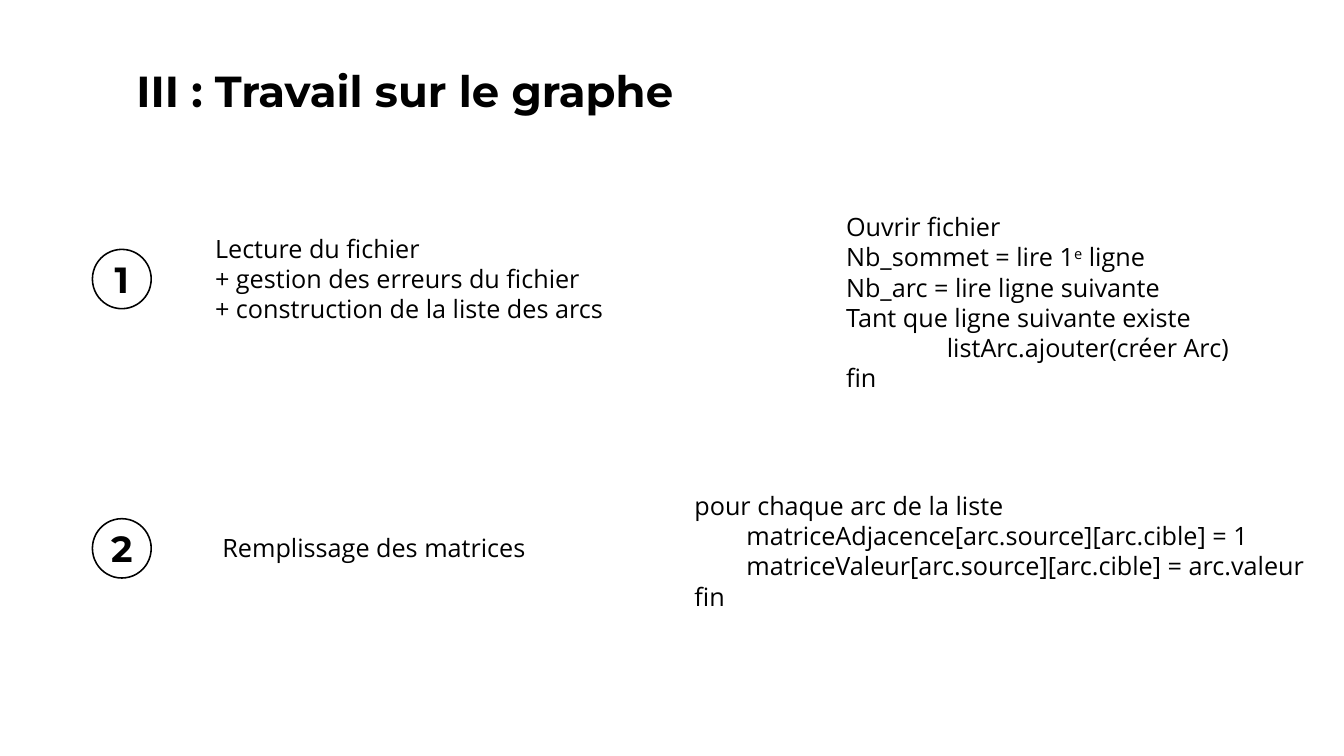
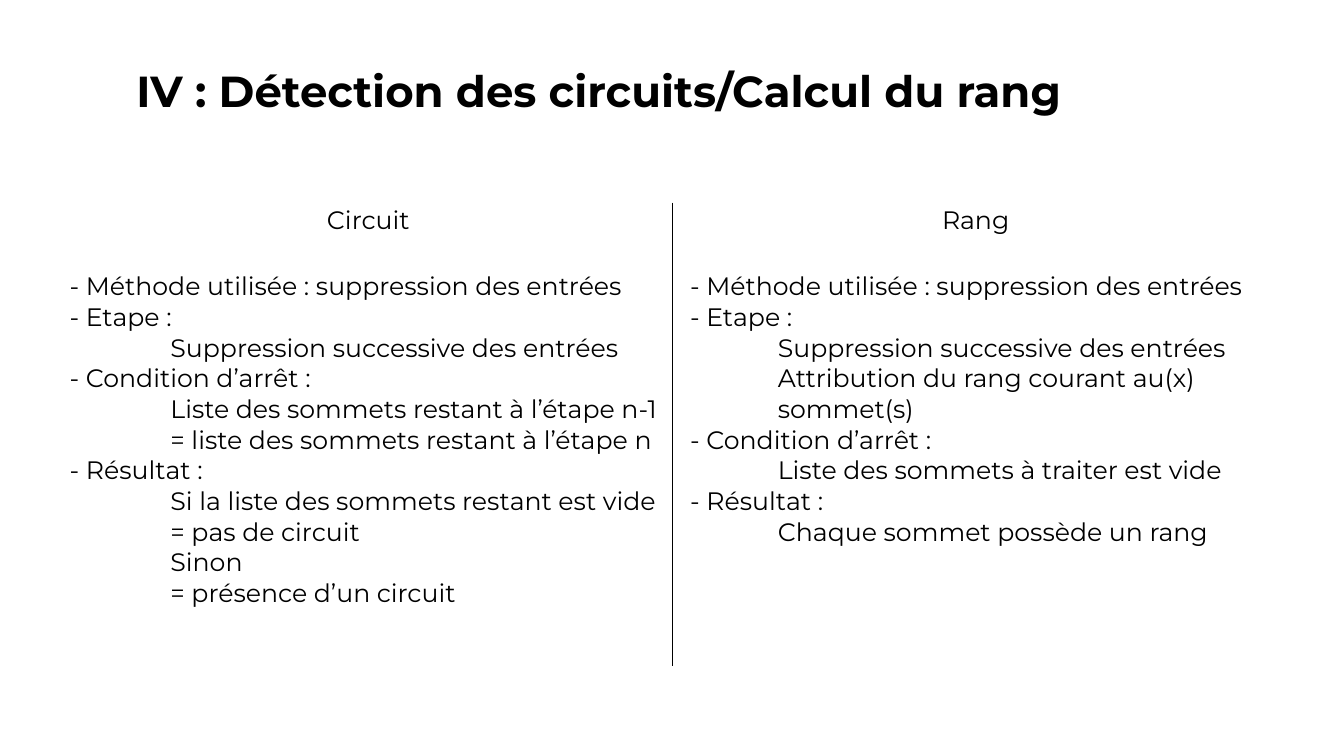
from dataclasses import dataclass

import pptx
import pptx.dml.color
import pptx.enum.shapes
import pptx.enum.text
import pptx.oxml
import pptx.oxml.ns
import pptx.util
from lxml import etree

EMU_PER_PX = 9525
NO_STYLE_NO_GRID = "{2D5ABB26-0587-4C30-8999-92F81FD0307C}"
COMPARISON, TITLE_ONLY = 4, 5
PP_ALIGN = pptx.enum.text.PP_ALIGN
MSO_ANCHOR = pptx.enum.text.MSO_ANCHOR


@dataclass(frozen=True)
class Theme:
    ink: str = "000000"
    paper: str = "FFFFFF"
    heading_font: str = "Montserrat"
    body_font: str = "Open Sans"
    title_pt: int = 62
    number_pt: int = 52
    body_pt: int = 36
    body_leading_pt: float = 43.2
    circle_line_pt: float = 2.25
    divider_pt: int = 1


THEME = Theme()


def px(n):
    return pptx.util.Emu(n * EMU_PER_PX)


def rgb(value):
    return pptx.dml.color.RGBColor.from_string(value)


def place(sp, left, top, width, height):
    sp.left, sp.top, sp.width, sp.height = map(px, (left, top, width, height))


def format_run(r, font, size, bold=False):
    r.font.name = font
    r.font.size = pptx.util.Pt(size)
    r.font.bold = bold
    r.font.color.rgb = rgb(THEME.ink)


def fix_frame(tf, anchor=MSO_ANCHOR.TOP):
    tf.word_wrap = True
    tf.auto_size = pptx.enum.text.MSO_AUTO_SIZE.NONE
    tf.vertical_anchor = anchor


def add_title(s, text, width):
    sp = s.shapes.title
    place(sp, 250, 117, width, 109)
    tf = sp.text_frame
    tf.text = text
    fix_frame(tf)
    p = tf.paragraphs[0]
    p.alignment = PP_ALIGN.LEFT
    format_run(p.runs[0], THEME.heading_font, THEME.title_pt, bold=True)


def fill_lines(tf, lines, font, leading=None):
    """Write (indent px, text) lines; text between carets is superscript."""
    for i, (indent, text) in enumerate(lines):
        p = tf.paragraphs[0] if i == 0 else tf.add_paragraph()
        p.alignment = PP_ALIGN.LEFT
        p.space_before = pptx.util.Pt(0)
        if leading:
            p.line_spacing = pptx.util.Pt(leading)
        pPr = p._p.get_or_add_pPr()
        pPr.set("marL", str(px(indent)))
        pPr.set("indent", "0")
        etree.SubElement(pPr, pptx.oxml.ns.qn("a:buNone"))
        for j, part in enumerate(text.split("^")):
            r = p.add_run()
            r.text = part
            format_run(r, font, THEME.body_pt)
            if j % 2:
                r._r.get_or_add_rPr().set("baseline", "30000")


def add_body(sp, box, lines):
    place(sp, *box)
    fix_frame(sp.text_frame)
    fill_lines(sp.text_frame, lines, THEME.body_font, THEME.body_leading_pt)


def add_number_circle(s, number, top):
    oval = pptx.enum.shapes.MSO_SHAPE.OVAL
    sp = s.shapes.add_shape(oval, px(176), px(top), px(112), px(113))
    sp.shadow.inherit = False
    sp.fill.background()
    sp.line.color.rgb = rgb(THEME.ink)
    sp.line.width = pptx.util.Pt(THEME.circle_line_pt)
    tf = sp.text_frame
    tf.text = str(number)
    fix_frame(tf, MSO_ANCHOR.MIDDLE)
    tf.margin_left = tf.margin_right = tf.margin_top = tf.margin_bottom = 0
    p = tf.paragraphs[0]
    p.alignment = PP_ALIGN.CENTER
    format_run(p.runs[0], THEME.heading_font, THEME.number_pt, bold=True)


def add_cell_border(cell, side):
    ln = pptx.oxml.parse_xml(
        f'<a:{side} {pptx.oxml.ns.nsdecls("a")} w="{pptx.util.Pt(THEME.divider_pt)}">'
        f'<a:solidFill><a:srgbClr val="{THEME.ink}"/></a:solidFill></a:{side}>'
    )
    cell._tc.get_or_add_tcPr().insert(0, ln)


def add_comparison_table(s, columns):
    """Draw (heading, lines) columns side by side with a divider between them."""
    col_width, row_heights = 1157, (68, 815)
    frame = s.shapes.add_table(2, len(columns), px(123), px(386),
                               px(col_width * len(columns)), px(sum(row_heights)))
    frame.element.find(".//" + pptx.oxml.ns.qn("a:tableStyleId")).text = NO_STYLE_NO_GRID
    table = frame.table
    table.first_row = table.horz_banding = False
    for row, height in zip(table.rows, row_heights):
        row.height = px(height)
    for c, (heading, lines) in enumerate(columns):
        table.columns[c].width = px(col_width)
        head, body = table.cell(0, c), table.cell(1, c)
        head.text_frame.text = heading
        p = head.text_frame.paragraphs[0]
        p.alignment = PP_ALIGN.CENTER
        format_run(p.runs[0], THEME.heading_font, THEME.body_pt)
        body.margin_top = px(63)
        fill_lines(body.text_frame, lines, THEME.heading_font)
        for cell in (head, body):
            cell.fill.solid()
            cell.fill.fore_color.rgb = rgb(THEME.paper)
            if c > 0:
                add_cell_border(cell, "lnL")
            if c < len(columns) - 1:
                add_cell_border(cell, "lnR")


def build_graph_slide(prs):
    s = prs.slides.add_slide(prs.slide_layouts[COMPARISON])
    add_title(s, "III : Travail sur le graphe", 1778)
    steps = [
        (475, (400, 439, 782, 184), [
            (0, "Lecture du fichier"),
            (0, "+ gestion des erreurs du fichier"),
            (0, "+ construction de la liste des arcs"),
        ], (1602, 398, 782, 359), [
            (0, "Ouvrir fichier"),
            (0, "Nb_sommet = lire 1^e^ ligne"),
            (0, "Nb_arc = lire ligne suivante"),
            (0, "Tant que ligne suivante existe"),
            (192, "listArc.ajouter(créer Arc)"),
            (0, "fin"),
        ]),
        (988, (414, 1010, 756, 68), [
            (0, "Remplissage des matrices"),
        ], (1313, 929, 1263, 300), [
            (0, "pour chaque arc de la liste"),
            (99, "matriceAdjacence[arc.source][arc.cible] = 1"),
            (99, "matriceValeur[arc.source][arc.cible] = arc.valeur"),
            (0, "fin"),
        ]),
    ]
    for i, (circle_top, step_box, step, code_box, code) in enumerate(steps):
        add_number_circle(s, i + 1, circle_top)
        add_body(s.placeholders[2 * i + 1], step_box, step)
        add_body(s.placeholders[2 * i + 2], code_box, code)


def build_circuit_slide(prs):
    s = prs.slides.add_slide(prs.slide_layouts[TITLE_ONLY])
    add_title(s, "IV : Détection des circuits/Calcul du rang", 1877)
    detail, inset = 192, 25
    add_comparison_table(s, [
        ("Circuit", [
            (0, "- Méthode utilisée : suppression des entrées"),
            (0, "- Etape :"),
            (detail, "Suppression successive des entrées"),
            (0, "- Condition d’arrêt :"),
            (detail, "Liste des sommets restant à l’étape n-1"),
            (detail, "= liste des sommets restant à l’étape n"),
            (0, "- Résultat :"),
            (detail, "Si la liste des sommets restant est vide"),
            (detail, "= pas de circuit"),
            (detail, "Sinon"),
            (detail, "= présence d’un circuit"),
        ]),
        ("Rang", [
            (inset, "- Méthode utilisée : suppression des entrées"),
            (inset, "- Etape :"),
            (detail, "Suppression successive des entrées"),
            (detail, "Attribution du rang courant au(x) sommet(s)"),
            (inset, "- Condition d’arrêt :"),
            (detail, "Liste des sommets à traiter est vide"),
            (inset, "- Résultat :"),
            (detail, "Chaque sommet possède un rang"),
        ]),
    ])


def main():
    prs = pptx.Presentation()
    prs.slide_width, prs.slide_height = px(2560), px(1440)
    build_graph_slide(prs)
    build_circuit_slide(prs)
    prs.save("out.pptx")


if __name__ == "__main__":
    main()
